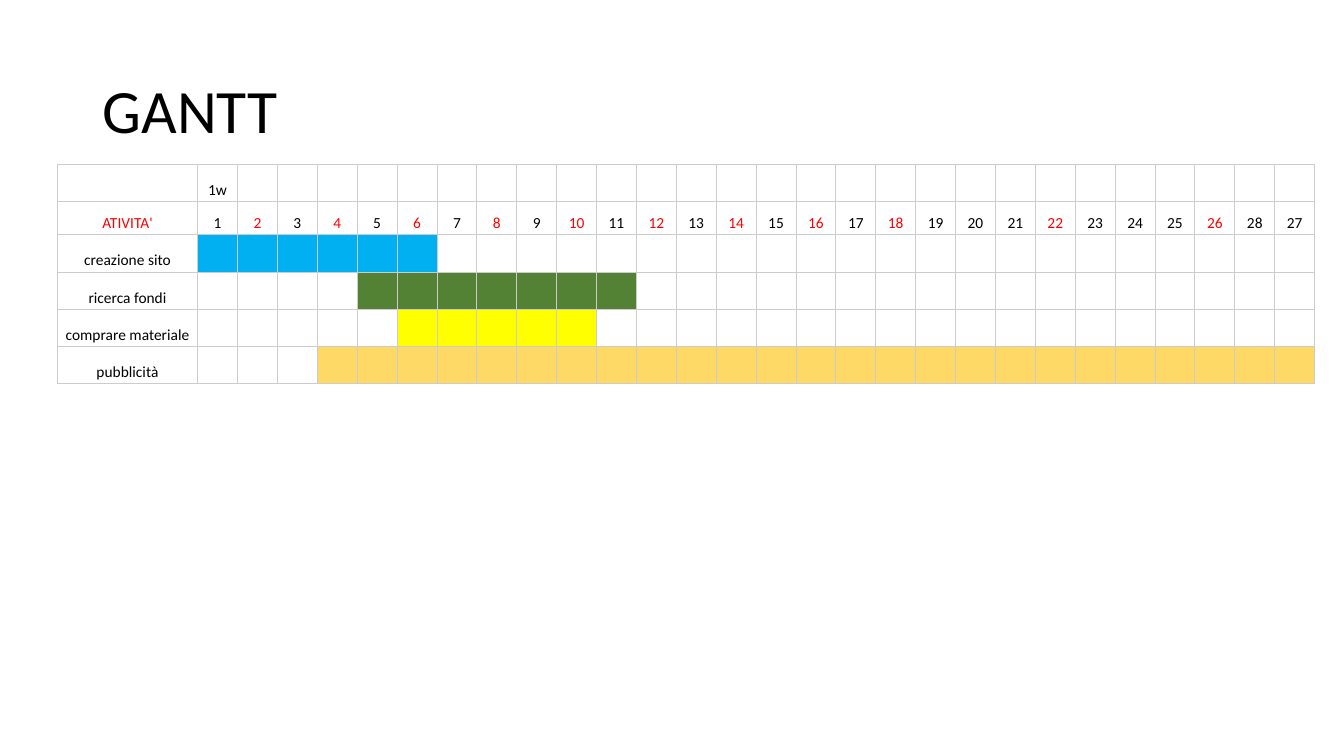
from dataclasses import dataclass

from lxml import etree
from pptx import Presentation
from pptx import util as u
from pptx.dml.color import RGBColor
from pptx.enum import text
from pptx.oxml import ns


@dataclass(frozen=True)
class Theme:
    font: str = "Calibri"
    title_size: int = 44
    cell_size: int = 11
    ink: str = "000000"
    accent: str = "FF0000"
    grid: str = "CCCCCC"
    grid_width: float = 0.75


@dataclass(frozen=True)
class Activity:
    name: str
    first: int  # first and last grid columns of the bar
    last: int
    color: str


THEME = Theme()
SLIDE_W, SLIDE_H = u.Inches(13.33), u.Inches(7.5)
WEEKS = [*range(1, 27), 28, 27]
RED_WEEKS = {*range(2, 19, 2), 22, 26}
ACTIVITIES = [
    Activity("creazione sito", 1, 6, "00B0F0"),
    Activity("ricerca fondi", 5, 11, "548235"),
    Activity("comprare materiale", 6, 10, "FFFF00"),
    Activity("pubblicità", 4, len(WEEKS), "FFD966"),
]

# Table grid: a name column and equal week columns; header rows, then activities
LEFT, TOP, WIDTH = u.Inches(0.57), u.Inches(1.63), u.Inches(12.47)
NAME_W = u.Inches(1.39)
WEEK_W = (WIDTH - NAME_W) // len(WEEKS)
ROW_H, WEEK_ROW_H = u.Inches(0.37), u.Inches(0.33)


def style_paragraph(p, size: int, color: str, spacing: float) -> None:
    p.line_spacing = spacing
    p.font.name = THEME.font
    p.font.size = u.Pt(size)
    p.font.color.rgb = RGBColor.from_string(color)


def add_title(slide, title: str) -> None:
    sp = slide.shapes.add_textbox(u.Inches(0.92), u.Inches(0.4), u.Inches(11.5), u.Inches(1.45))
    tf = sp.text_frame
    tf.word_wrap = True
    tf.vertical_anchor = text.MSO_ANCHOR.MIDDLE
    p = tf.paragraphs[0]
    p.add_run().text = title
    style_paragraph(p, THEME.title_size, THEME.ink, 0.9)


def set_borders(cell) -> None:
    tc_pr = cell._tc.get_or_add_tcPr()
    for i, side in enumerate(("lnL", "lnR", "lnT", "lnB")):
        ln = etree.Element(ns.qn(f"a:{side}"), w=str(u.Pt(THEME.grid_width)))
        fill = etree.SubElement(ln, ns.qn("a:solidFill"))
        etree.SubElement(fill, ns.qn("a:srgbClr"), val=THEME.grid)
        tc_pr.insert(i, ln)


def format_cell(cell) -> None:
    cell.margin_left = cell.margin_right = u.Inches(0.03)
    cell.margin_top = cell.margin_bottom = u.Inches(0.02)
    cell.vertical_anchor = text.MSO_ANCHOR.BOTTOM
    cell.fill.background()
    set_borders(cell)


def write_cell(cell, label: str, color: str = THEME.ink) -> None:
    p = cell.text_frame.paragraphs[0]
    p.add_run().text = label
    p.alignment = text.PP_ALIGN.CENTER
    style_paragraph(p, THEME.cell_size, color, 1.15)


def add_gantt(slide) -> None:
    rows, cols = 2 + len(ACTIVITIES), 1 + len(WEEKS)
    height = ROW_H * (rows - 1) + WEEK_ROW_H
    table = slide.shapes.add_table(rows, cols, LEFT, TOP, WIDTH, height).table
    table.first_row = table.horz_banding = False
    for i, col in enumerate(table.columns):
        col.width = WEEK_W if i else NAME_W
    for i, row in enumerate(table.rows):
        row.height = WEEK_ROW_H if i == 1 else ROW_H
    for cell in table.iter_cells():
        format_cell(cell)

    # Header rows
    write_cell(table.cell(0, 1), "1w")
    write_cell(table.cell(1, 0), "ATIVITA'", THEME.accent)
    for c, week in enumerate(WEEKS, 1):
        color = THEME.accent if week in RED_WEEKS else THEME.ink
        write_cell(table.cell(1, c), str(week), color)

    # Activity names and bars
    for r, activity in enumerate(ACTIVITIES, 2):
        write_cell(table.cell(r, 0), activity.name)
        for c in range(activity.first, activity.last + 1):
            fill = table.cell(r, c).fill
            fill.solid()
            fill.fore_color.rgb = RGBColor.from_string(activity.color)


def main() -> None:
    prs = Presentation()
    prs.slide_width, prs.slide_height = SLIDE_W, SLIDE_H
    slide = prs.slides.add_slide(prs.slide_layouts[6])
    add_title(slide, "GANTT")
    add_gantt(slide)
    prs.save("out.pptx")


if __name__ == "__main__":
    main()
